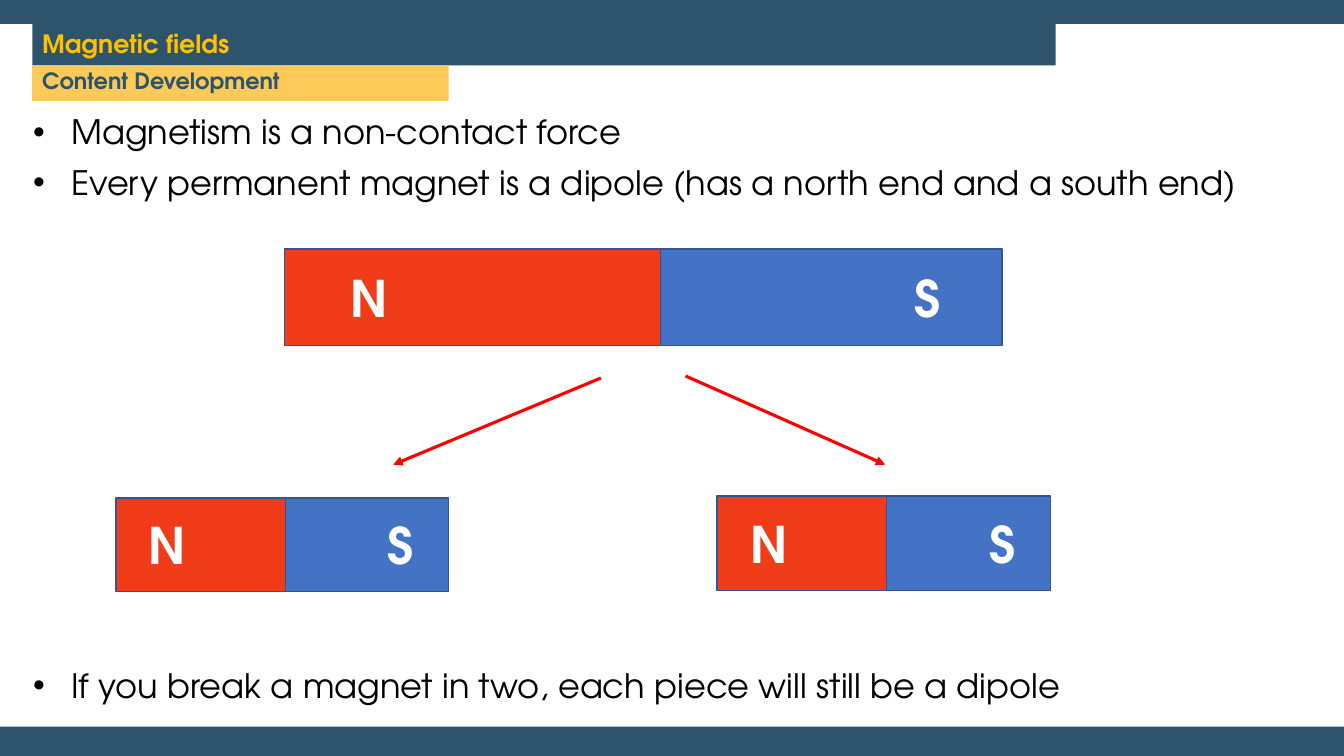
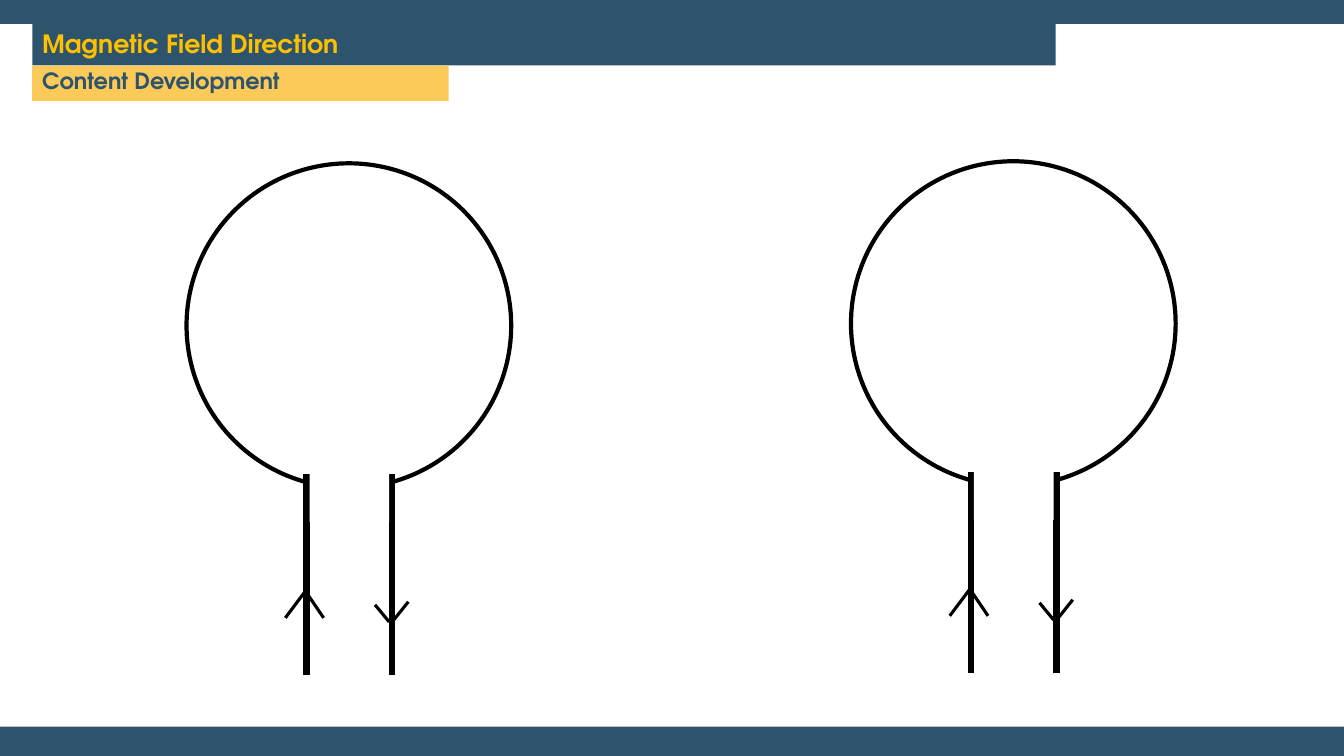
from dataclasses import dataclass

from lxml.etree import SubElement
from pptx import Presentation
from pptx.dml.color import RGBColor
from pptx.enum.shapes import MSO_CONNECTOR, MSO_SHAPE
from pptx.enum.text import MSO_ANCHOR, PP_ALIGN
from pptx.oxml.ns import qn
from pptx.shapes.autoshape import Shape
from pptx.slide import Slide
from pptx.text.text import _Paragraph as Para
from pptx.util import Inches, Pt

FONT = "TeX Gyre Adventor"
NAVY = RGBColor(0x2E, 0x54, 0x6D)
GOLD = RGBColor(0xFF, 0xC0, 0x00)
SAND = RGBColor(0xFB, 0xCA, 0x58)
WHITE = RGBColor(0xFF, 0xFF, 0xFF)
BLACK = RGBColor(0x00, 0x00, 0x00)
RED = RGBColor(0xFF, 0x00, 0x00)
NORTH = RGBColor(0xF0, 0x3C, 0x18)
SOUTH = RGBColor(0x44, 0x72, 0xC4)
EDGE = RGBColor(0x32, 0x54, 0x91)
WIDE, HIGH = 13.33, 7.5

Box = tuple[float, float, float, float]


@dataclass
class Magnet:
    left: float
    top: float
    width: float
    height: float
    split: float  # width of the north half
    north: float  # label gap from the left end
    south: float  # label gap from the right end


@dataclass
class Line:
    x1: float
    y1: float
    x2: float
    y2: float
    weight: float


MAGNETS = [
    Magnet(2.82, 2.47, 7.12, 0.96, 3.73, 0.36, 0.26),
    Magnet(1.15, 4.94, 3.3, 0.93, 1.68, 0.03, 0),
    Magnet(7.11, 4.92, 3.31, 0.94, 1.68, 0.04, 0),
]
ARROWS = [Line(5.96, 3.75, 3.9, 4.61, 2.25), Line(6.8, 3.73, 8.78, 4.61, 2.25)]

# Loop parts are measured from the corner of the circle
SIZE = 3.22
WIRES = [Line(x, 3.08, x, 5.08, 4.5) for x in (1.19, 2.04)]
MARKS = [
    Line(1.19, 4.23, 0.98, 4.51, 2.25),
    Line(1.19, 4.26, 1.36, 4.51, 2.25),
    Line(2.01, 4.55, 1.87, 4.38, 2.25),
    Line(2.04, 4.55, 2.2, 4.35, 2.25),
]
LOOPS = [(1.85, 1.62), (8.44, 1.6)]


def add_form(slide: Slide, box: Box, fill: RGBColor | None,
             edge: RGBColor | None = None, weight: float = 1,
             kind: MSO_SHAPE = MSO_SHAPE.RECTANGLE) -> Shape:
    form = slide.shapes.add_shape(kind, *map(Inches, box))
    form.shadow.inherit = False
    if fill is None:
        form.fill.background()
    else:
        form.fill.solid()
        form.fill.fore_color.rgb = fill
    if edge is None:
        form.line.fill.background()
    else:
        form.line.color.rgb = edge
        form.line.width = Pt(weight)
    return form


def add_line(slide: Slide, line: Line, color: RGBColor,
             dx: float = 0, dy: float = 0, arrow: bool = False) -> None:
    ends = (line.x1 + dx, line.y1 + dy, line.x2 + dx, line.y2 + dy)
    link = slide.shapes.add_connector(MSO_CONNECTOR.STRAIGHT, *map(Inches, ends))
    link.line.color.rgb = color
    link.line.width = Pt(line.weight)
    if arrow:
        SubElement(link.line._get_or_add_ln(), qn("a:tailEnd"), type="triangle")
    SubElement(link._element.spPr, qn("a:effectLst"))


def style(para: Para, size: float, color: RGBColor, bold: bool = False,
          align: PP_ALIGN = PP_ALIGN.LEFT) -> None:
    para.alignment = align
    font = para.font
    font.name, font.size, font.bold = FONT, Pt(size), bold
    font.color.rgb = color


def add_band(slide: Slide, box: Box, fill: RGBColor, text: str, size: float,
             color: RGBColor, anchor: MSO_ANCHOR) -> None:
    frame = add_form(slide, box, fill).text_frame
    frame.word_wrap = True
    frame.vertical_anchor = anchor
    para = frame.paragraphs[0]
    para.text = text
    para.line_spacing = 0.9
    style(para, size, color, True)


def add_page(deck: Presentation, title: str) -> Slide:
    slide = deck.slides.add_slide(deck.slide_layouts[6])
    # Top and bottom bands
    add_form(slide, (0, 0, WIDE, HIGH), NAVY)
    add_form(slide, (0, 0.24, WIDE, 6.97), WHITE)
    # Title and section
    add_band(slide, (0.32, 0.24, 10.15, 0.41), NAVY, title, 18, GOLD,
             MSO_ANCHOR.MIDDLE)
    add_band(slide, (0.32, 0.65, 4.13, 0.35), SAND, "Content Development", 16,
             NAVY, MSO_ANCHOR.TOP)
    return slide


def add_list(slide: Slide, top: float, height: float, items: list[str]) -> None:
    area = (0.23, top, 13.1, height)
    frame = slide.shapes.add_textbox(*map(Inches, area)).text_frame
    frame.word_wrap = True
    for i, item in enumerate(items):
        para = frame.add_paragraph() if i else frame.paragraphs[0]
        para.text = item
        props = para._p.get_or_add_pPr()
        props.set("marL", str(Inches(0.38)))
        props.set("indent", str(Inches(-0.38)))
        SubElement(props, qn("a:buFont"), typeface="Arial")
        SubElement(props, qn("a:buChar"), char="•")
        para.line_spacing = 0.9
        para.space_before = Pt(10 if i else 0)
        style(para, 24, BLACK, align=PP_ALIGN.JUSTIFY)


def add_pole(slide: Slide, left: float, mid: float, text: str) -> None:
    side = 0.96
    area = (left, mid - side / 2, side, side)
    frame = slide.shapes.add_textbox(*map(Inches, area)).text_frame
    frame.word_wrap = True
    frame.vertical_anchor = MSO_ANCHOR.MIDDLE
    para = frame.paragraphs[0]
    para.text = text
    style(para, 36, WHITE, True, PP_ALIGN.CENTER)


def add_magnet(slide: Slide, bar: Magnet) -> None:
    mid = bar.top + bar.height / 2
    right = bar.left + bar.width
    add_form(slide, (bar.left + bar.split, bar.top, bar.width - bar.split,
                     bar.height), SOUTH, EDGE)
    add_form(slide, (bar.left, bar.top, bar.split, bar.height), NORTH, EDGE)
    add_pole(slide, bar.left + bar.north, mid, "N")
    add_pole(slide, right - bar.south - 0.96, mid, "S")


def add_loop(slide: Slide, left: float, top: float) -> None:
    add_form(slide, (left, top, SIZE, SIZE), None, BLACK, 3, MSO_SHAPE.OVAL)
    for wire in WIRES:
        add_line(slide, wire, BLACK, left, top)
    # Opening between the wires
    add_form(slide, (left + 1.22, top + 3.08, 0.79, 0.48), WHITE)
    for mark in MARKS:
        add_line(slide, mark, BLACK, left, top)


def main() -> None:
    deck = Presentation()
    deck.slide_width, deck.slide_height = Inches(WIDE), Inches(HIGH)

    # Broken magnet
    slide = add_page(deck, "Magnetic fields")
    add_list(slide, 1.1, 0.97, [
        "Magnetism is a non-contact force",
        "Every permanent magnet is a dipole (has a north end and a south end)",
    ])
    add_list(slide, 6.59, 0.5, [
        "If you break a magnet in two, each piece will still be a dipole",
    ])
    for bar in MAGNETS:
        add_magnet(slide, bar)
    for arrow in ARROWS:
        add_line(slide, arrow, RED, arrow=True)

    # Current loops
    slide = add_page(deck, "Magnetic Field Direction")
    for left, top in LOOPS:
        add_loop(slide, left, top)

    deck.save("out.pptx")


if __name__ == "__main__":
    main()
